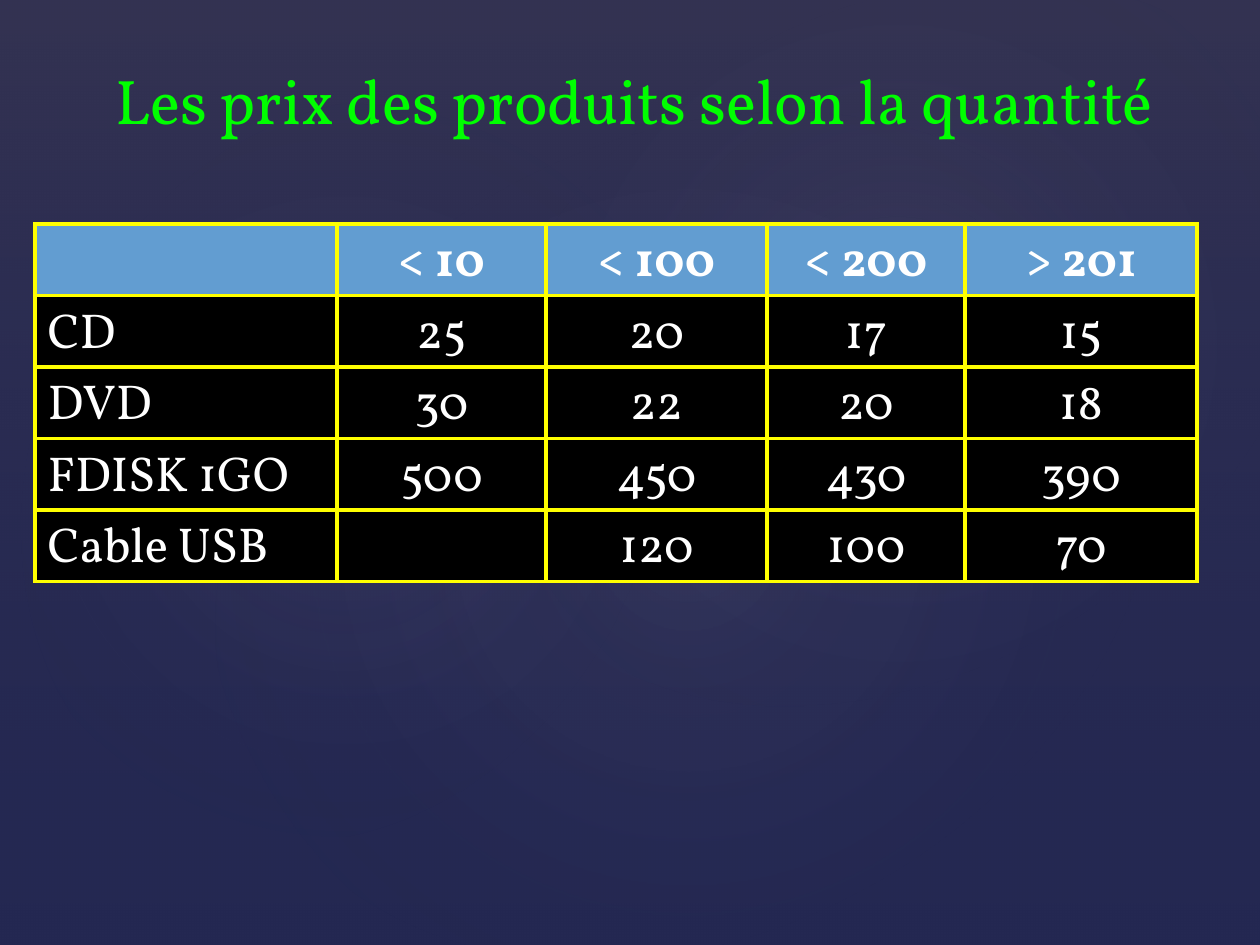
"""Build the price list slide."""
from dataclasses import dataclass

from pptx import Presentation
from pptx import util as u
from pptx.dml.color import RGBColor
from pptx.enum import shapes, text
from pptx.oxml import parse_xml
from pptx.oxml.ns import nsdecls, qn


@dataclass(frozen=True)
class Theme:
    """Colours, font and type sizes of the slide."""
    font: str = "Vollkorn"
    back: str = "242852"
    haze: str = "504652"
    glow: str = "C4BCC6"
    title: str = "00FF00"
    ink: str = "FFFFFF"
    head: str = "629DD1"
    body: str = "000000"
    rule: str = "FFFF00"
    big: int = 36
    small: int = 28
    line: float = 2.25


THEME = Theme()
SIZE = 1260, 945
GLOWS = [
    ((189, 144, 998, 786), 328.7, 7),
    ((-38, 161, 764, 617), 294.3, 8),
    ((451, 16, 893, 655), 328.7, 8),
]
COLS = 302, 209, 221, 198, 232
ROWS = [
    ("", "< 10", "< 100", "< 200", "> 201"),
    ("CD", "25", "20", "17", "15"),
    ("DVD", "30", "22", "20", "18"),
    ("FDISK 1GO", "500", "450", "430", "390"),
    ("Cable USB", "", "120", "100", "70"),
]


def px(n):
    """Turn pixels into EMU."""
    return u.Emu(round(n * u.Inches(1) / 126))


def rgb(code):
    """Turn a hex code into a colour."""
    return RGBColor.from_string(code)


def style(para, align, **form):
    """Align a paragraph and set its font from format values."""
    para.alignment = align
    font = para.font
    font.color.rgb = rgb(form.pop("color"))
    for key, val in form.items():
        setattr(font, key, val)


def veil(slide, kind, box, stops, shade, turn=0):
    """Draw a shape with a see-through gradient."""
    shape = slide.shapes.add_shape(kind, *map(px, box))
    shape.rotation = turn
    shape.shadow.inherit = False
    shape.line.fill.background()
    shape.fill.background()
    marks = "".join(
        f'<a:gs pos="{pos * 1000}"><a:srgbClr val="{code}">'
        f'<a:alpha val="{alpha * 1000}"/></a:srgbClr></a:gs>'
        for pos, code, alpha in stops)
    grad = parse_xml(f'<a:gradFill {nsdecls("a")} rotWithShape="1">'
                     f'<a:gsLst>{marks}</a:gsLst>{shade}</a:gradFill>')
    props = shape.element.spPr
    props.replace(props.find(qn("a:noFill")), grad)


def scene(slide, box):
    """Paint the background haze and its soft glows."""
    fill = slide.background.fill
    fill.solid()
    fill.fore_color.rgb = rgb(THEME.back)
    kind = shapes.MSO_SHAPE
    veil(slide, kind.RECTANGLE, box,
         [(0, THEME.haze, 36), (100, THEME.back, 10)],
         '<a:lin ang="5400000" scaled="0"/>')
    shade = ('<a:path path="circle"><a:fillToRect l="50000" t="50000" '
             'r="50000" b="50000"/></a:path>')
    left, top = box[:2]
    for (x, y, wide, high), turn, alpha in GLOWS:
        veil(slide, kind.OVAL, (left + x, top + y, wide, high),
             [(0, THEME.glow, alpha), (58, THEME.back, 0)], shade, turn)


def title(slide, box, words):
    """Place the title above the background."""
    shape = slide.shapes.title
    shape.left, shape.top, shape.width, shape.height = map(px, box)
    slide.shapes.element.append(shape.element)
    frame = shape.text_frame
    frame.text = words
    form = {"word_wrap": True, "vertical_anchor": text.MSO_ANCHOR.TOP,
            "auto_size": text.MSO_AUTO_SIZE.SHAPE_TO_FIT_TEXT}
    for key, val in form.items():
        setattr(frame, key, val)
    style(frame.paragraphs[0], text.PP_ALIGN.CENTER, name=THEME.font,
          size=u.Pt(THEME.big), color=THEME.title)


def edge(cell):
    """Rule all four sides of a cell."""
    props = cell._tc.get_or_add_tcPr()
    for spot, side in enumerate("LRTB"):
        props.insert(spot, parse_xml(
            f'<a:ln{side} {nsdecls("a")} w="{u.Pt(THEME.line)}">'
            f'<a:solidFill><a:srgbClr val="{THEME.rule}"/></a:solidFill>'
            f'</a:ln{side}>'))


def prices(slide, box):
    """Place the price table."""
    table = slide.shapes.add_table(len(ROWS), len(COLS), *map(px, box)).table
    for col, wide in zip(table.columns, COLS):
        col.width = px(wide)
    for r, row in enumerate(ROWS):
        for c, words in enumerate(row):
            cell = table.cell(r, c)
            cell.fill.solid()
            cell.fill.fore_color.rgb = rgb(THEME.body if r else THEME.head)
            edge(cell)
            if words:
                cell.text = words
                align = text.PP_ALIGN.CENTER if c else text.PP_ALIGN.LEFT
                style(cell.text_frame.paragraphs[0], align, name=THEME.font,
                      size=u.Pt(THEME.small), bold=r == 0, color=THEME.ink)


def main():
    """Build and save the slide."""
    deck = Presentation()
    deck.slide_width, deck.slide_height = map(px, SIZE)
    slide = deck.slides.add_slide(deck.slide_layouts[5])
    scene(slide, (0, 0, *SIZE))
    title(slide, (20, 55, 1228, 89), "Les prix des produits selon la quantité")
    prices(slide, (35, 224, sum(COLS), 357))
    deck.save("out.pptx")


if __name__ == "__main__":
    main()
